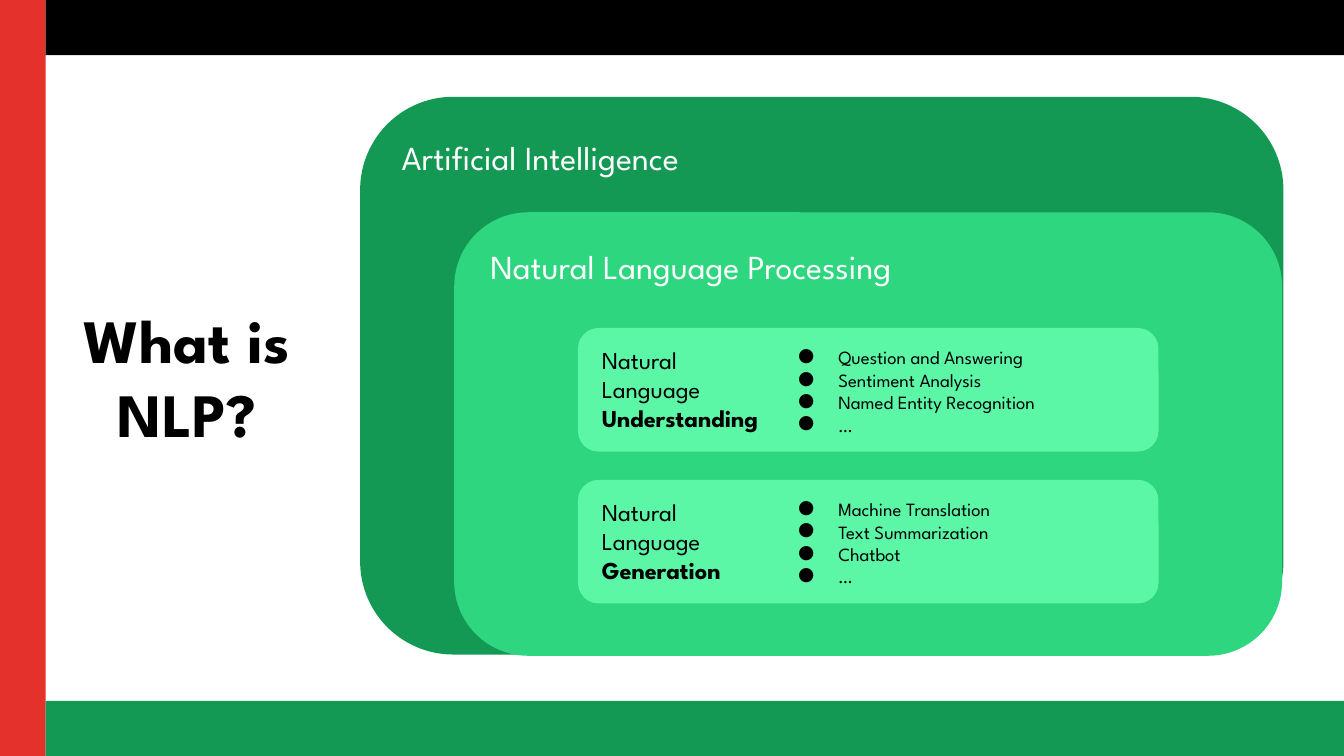
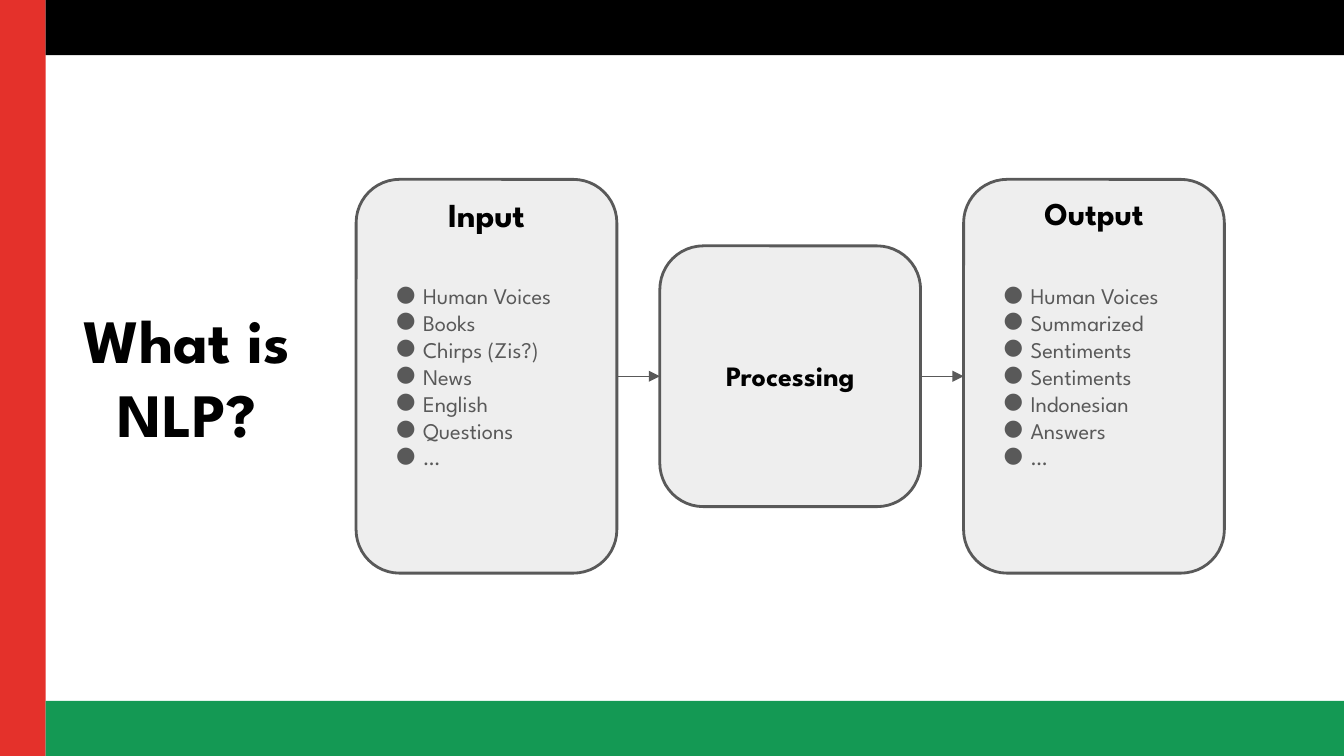
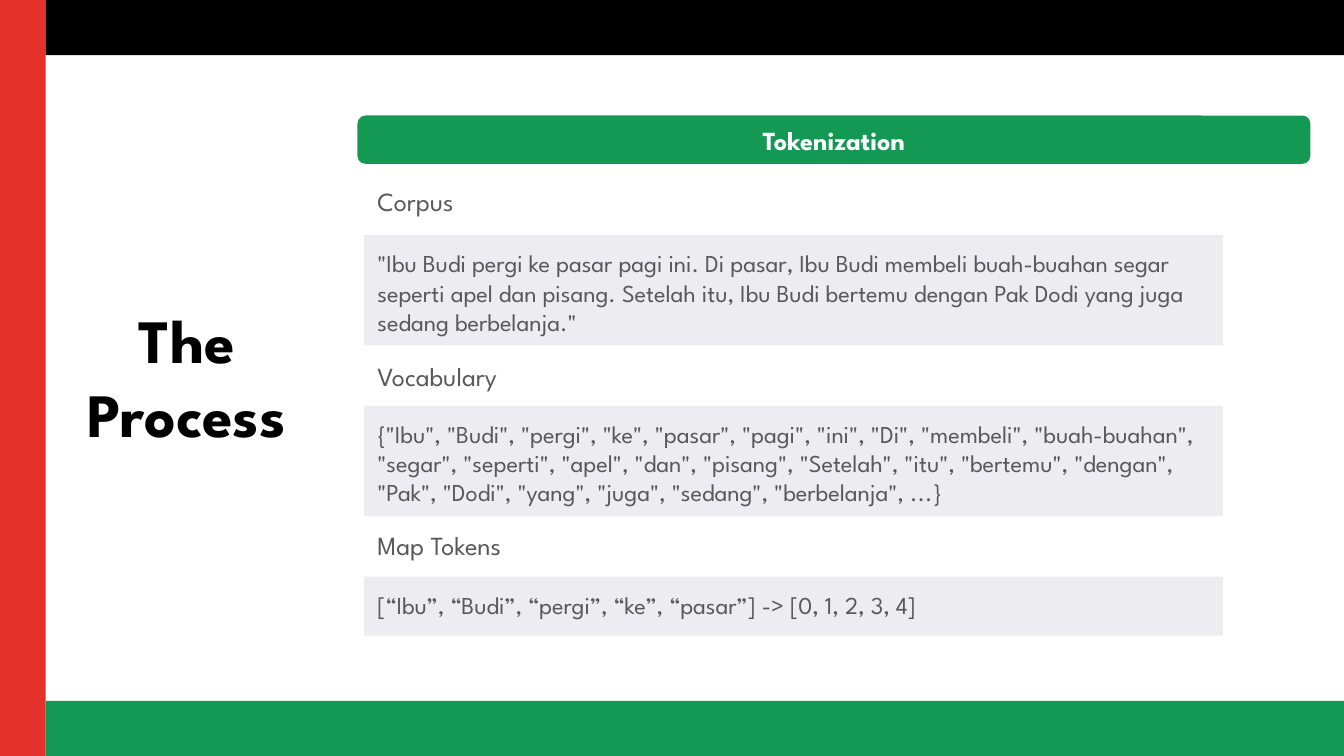
from dataclasses import dataclass

from lxml.etree import SubElement
from pptx import Presentation
from pptx.dml.color import RGBColor
from pptx.enum.shapes import MSO_CONNECTOR as Connector, MSO_SHAPE as Shape
from pptx.enum.text import MSO_ANCHOR as Anchor, PP_ALIGN as Align
from pptx.oxml.ns import qn
from pptx.util import Inches, Pt


@dataclass(frozen=True)
class Theme:
    font: str = "League Spartan"
    black: str = "000000"
    white: str = "FFFFFF"
    red: str = "E4312B"
    green: str = "149954"
    mid_green: str = "2ED67F"
    light_green: str = "5BF7A6"
    gray: str = "595959"
    panel: str = "EEEEEE"
    quote: str = "ECECF1"
    title: int = 33
    heading: int = 18
    output_heading: int = 17
    step: int = 15
    label: int = 14
    body: int = 13
    items: int = 12
    small: int = 10


THEME = Theme()
WIDTH, HEIGHT = 10, 5.625
STRIPE, BAND = 0.34, 0.41
CORNER = 0.167


# Text
def set_bullet(para, color, margin, indent):
    props = para._p.get_or_add_pPr()
    props.set("marL", str(Inches(margin)))
    props.set("indent", str(Inches(indent)))
    bullet_color = SubElement(props, qn("a:buClr"))
    SubElement(bullet_color, qn("a:srgbClr")).set("val", color)
    SubElement(props, qn("a:buFont")).set("typeface", THEME.font)
    SubElement(props, qn("a:buChar")).set("char", "●")


def write(box, paragraphs, size, color, align=Align.LEFT, anchor=Anchor.TOP, bullet=None):
    """Each paragraph is a list of (text, bold) runs."""
    frame = box.text_frame
    frame.word_wrap = True
    frame.vertical_anchor = anchor
    frame.margin_left = frame.margin_right = Inches(0.1)
    frame.margin_top = frame.margin_bottom = Inches(0.1)
    for index, runs in enumerate(paragraphs):
        para = frame.add_paragraph() if index else frame.paragraphs[0]
        para.alignment = align
        if bullet:
            set_bullet(para, color, *bullet)
        for text, bold in runs:
            span = para.add_run()
            span.text = text
            span.font.name = THEME.font
            span.font.size = Pt(size)
            span.font.bold = bold
            span.font.color.rgb = RGBColor.from_string(color)


def add_text(page, area, paragraphs, size, color, **style):
    box = page.shapes.add_textbox(*map(Inches, area))
    write(box, paragraphs, size, color, **style)


def add_list(page, area, items, size, color, bullet):
    add_text(page, area, [[(item, False)] for item in items], size, color, bullet=bullet)


# Shapes
def add_block(page, area, fill, kind=Shape.RECTANGLE, outline=None):
    block = page.shapes.add_shape(kind, *map(Inches, area))
    block.shadow.inherit = False
    block.fill.solid()
    block.fill.fore_color.rgb = RGBColor.from_string(fill)
    if kind == Shape.ROUNDED_RECTANGLE:
        block.adjustments[0] = CORNER
    if outline:
        block.line.color.rgb = RGBColor.from_string(outline)
        block.line.width = Pt(1.5)
    else:
        block.line.fill.background()
    return block


def add_rounded(page, area, fill, outline=None):
    return add_block(page, area, fill, Shape.ROUNDED_RECTANGLE, outline)


def add_arrow(page, source, target):
    arrow = page.shapes.add_connector(Connector.STRAIGHT, 0, 0, 0, 0)
    arrow.begin_connect(source, 3)
    arrow.end_connect(target, 1)
    arrow.line.color.rgb = RGBColor.from_string(THEME.gray)
    arrow.line.width = Pt(0.75)
    SubElement(arrow.line._get_or_add_ln(), qn("a:tailEnd")).set("type", "triangle")
    SubElement(arrow._element.spPr, qn("a:effectLst"))


# Shared frame: red stripe, two bands and the title on the left
def add_page(deck, title):
    page = deck.slides.add_slide(deck.slide_layouts[6])
    add_block(page, (0, 0, STRIPE, HEIGHT), THEME.red)
    for top, color in ((0, THEME.black), (HEIGHT - BAND, THEME.green)):
        add_block(page, (STRIPE, top, WIDTH - STRIPE, BAND), color)
    add_text(page, (0.44, 0.72, 1.9, 4.15), [[(title, True)]], THEME.title,
             THEME.black, align=Align.CENTER, anchor=Anchor.MIDDLE)
    return page


# Nested fields of AI
def add_field(page, area, fill, name, name_left, name_top):
    add_rounded(page, area, fill)
    add_text(page, (name_left, name_top, 4.51, 0.5), [[(name, False)]],
             THEME.heading, THEME.white)


def add_branch(page, top, name, tasks):
    add_rounded(page, (4.3, top, 4.32, 0.92), THEME.light_green)
    add_text(page, (4.38, top + 0.03, 1.47, 0.86),
             [[("Natural Language ", False), (name, True)]], THEME.body, THEME.black)
    add_list(page, (5.84, top + 0.035, 2.66, 0.84), tasks, THEME.small,
             THEME.black, (0.3, -0.32))


def build_fields(deck):
    page = add_page(deck, "What is NLP?")
    add_field(page, (2.68, 0.72, 6.87, 4.15), THEME.green,
              "Artificial Intelligence", 2.89, 0.92)
    add_field(page, (3.38, 1.58, 6.16, 3.3), THEME.mid_green,
              "Natural Language Processing", 3.55, 1.73)
    add_branch(page, 2.44, "Understanding",
               ["Question and Answering", "Sentiment Analysis",
                "Named Entity Recognition", "…"])
    add_branch(page, 3.57, "Generation",
               ["Machine Translation", "Text Summarization", "Chatbot", "…"])


# Input, processing, output
def build_flow(deck):
    page = add_page(deck, "What is NLP?")
    stages = (
        ("Input", THEME.heading, 2.93, 1.34,
         ["Human Voices", "Books", "Chirps (Zis?)", "News", "English", "Questions", "…"]),
        ("Processing", THEME.step, 1.94, 2.57, []),
        ("Output", THEME.output_heading, 2.93, 1.34,
         ["Human Voices", "Summarized", "Sentiments", "Sentiments", "Indonesian",
          "Answers", "…"]),
    )
    panels = []
    for index, (name, size, height, name_top, items) in enumerate(stages):
        left = 2.65 + index * 2.26
        panels.append(add_rounded(page, (left, 2.8 - height / 2, 1.94, height),
                                  THEME.panel, THEME.gray))
        add_text(page, (left + 0.33, name_top, 1.28, 0.5), [[(name, True)]],
                 size, THEME.black, align=Align.CENTER)
        if items:
            add_list(page, (left + 0.2, 2, 1.57, 1.61), items, THEME.items,
                     THEME.gray, (0.2, -0.28))
    for source, target in zip(panels, panels[1:]):
        add_arrow(page, source, target)


# Tokenization steps
def build_process(deck):
    page = add_page(deck, "The Process")
    header = add_rounded(page, (2.66, 0.86, 7.09, 0.36), THEME.green)
    write(header, [[("Tokenization", True)]], THEME.label, THEME.white,
          align=Align.CENTER, anchor=Anchor.MIDDLE)
    steps = (
        ("Corpus", 1.28, 1.75, 0.82,
         '"Ibu Budi pergi ke pasar pagi ini. Di pasar, Ibu Budi membeli buah-buahan '
         'segar seperti apel dan pisang. Setelah itu, Ibu Budi bertemu dengan Pak '
         'Dodi yang juga sedang berbelanja."'),
        ("Vocabulary", 2.58, 3.02, 0.82,
         '{"Ibu", "Budi", "pergi", "ke", "pasar", "pagi", "ini", "Di", "membeli", '
         '"buah-buahan", "segar", "seperti", "apel", "dan", "pisang", "Setelah", '
         '"itu", "bertemu", "dengan", "Pak", "Dodi", "yang", "juga", "sedang", '
         '"berbelanja", ...}'),
        ("Map Tokens", 3.84, 4.29, 0.44,
         "[“Ibu”, “Budi”, “pergi”, “ke”, “pasar”] -> [0, 1, 2, 3, 4]"),
    )
    for name, name_top, top, height, example in steps:
        add_text(page, (2.71, name_top, 6.28, 0.44), [[(name, False)]],
                 THEME.label, THEME.gray)
        quote = add_block(page, (2.71, top, 6.39, height), THEME.quote)
        write(quote, [[(example, False)]], THEME.body, THEME.gray)


def main():
    deck = Presentation()
    deck.slide_width, deck.slide_height = Inches(WIDTH), Inches(HEIGHT)
    build_fields(deck)
    build_flow(deck)
    build_process(deck)
    deck.save("out.pptx")


if __name__ == "__main__":
    main()
